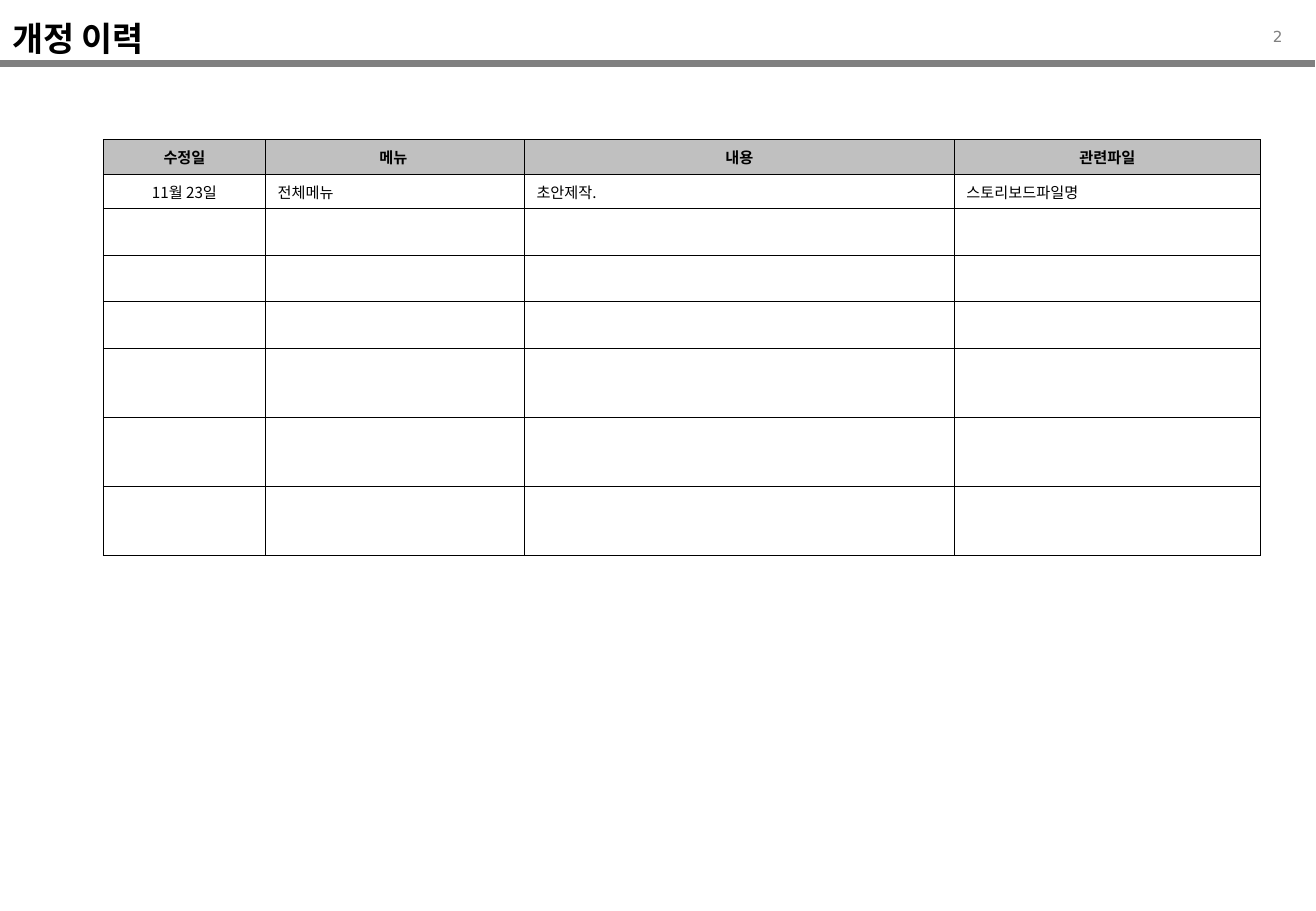
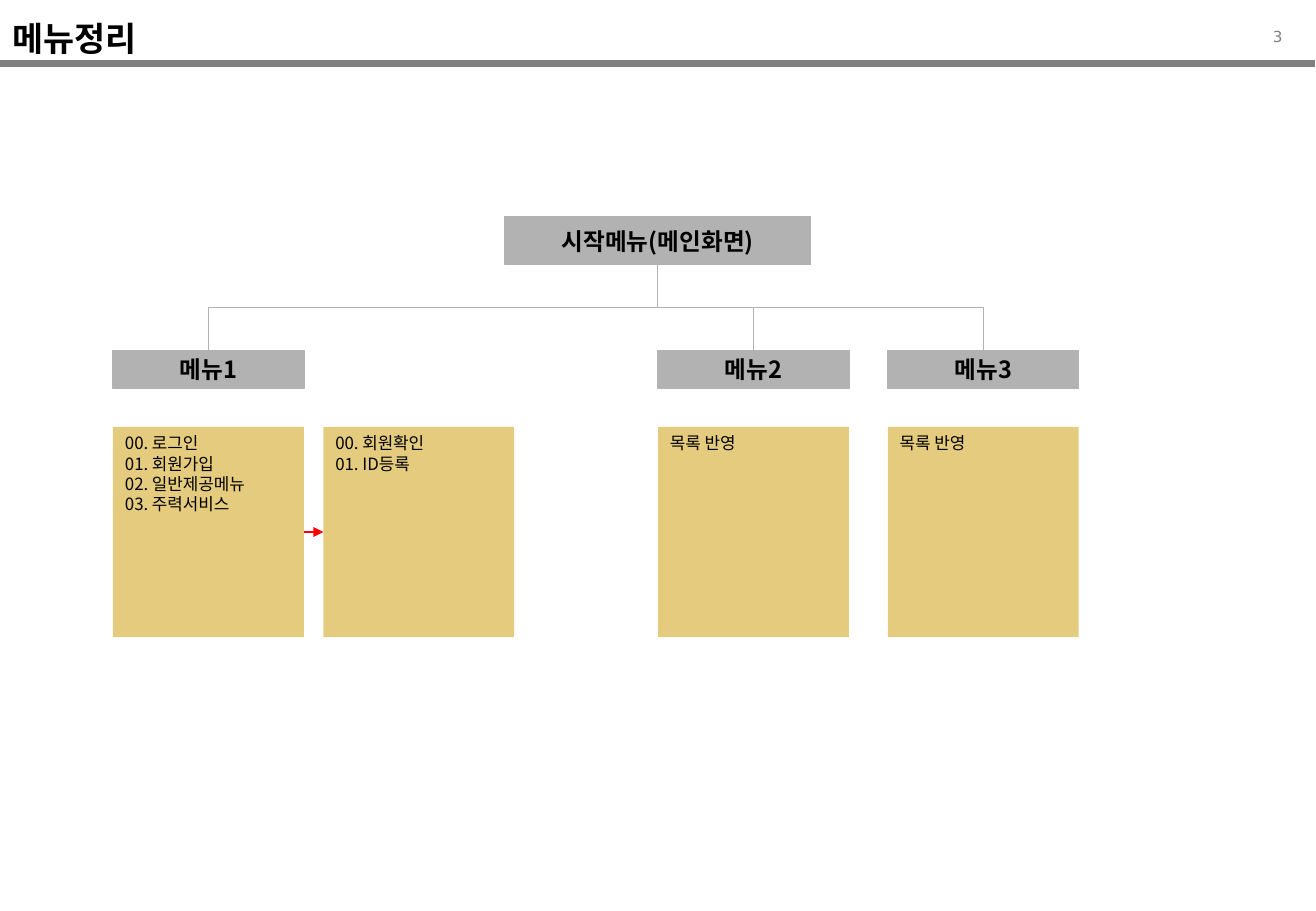
"""Build the revision history and menu map slides of a storyboard."""

from dataclasses import dataclass

from lxml import etree
from pptx import Presentation
from pptx.dml.color import RGBColor
from pptx.enum.shapes import MSO_CONNECTOR, MSO_SHAPE, PP_PLACEHOLDER
from pptx.enum.text import MSO_ANCHOR, MSO_AUTO_SIZE, PP_ALIGN
from pptx.oxml.ns import qn
from pptx.util import Pt

STRAIGHT, ELBOW = MSO_CONNECTOR.STRAIGHT, MSO_CONNECTOR.ELBOW
RECTANGLE = MSO_SHAPE.RECTANGLE
TITLE = PP_PLACEHOLDER.TITLE
TOP, MIDDLE = MSO_ANCHOR.TOP, MSO_ANCHOR.MIDDLE
LEFT, CENTER, RIGHT = PP_ALIGN.LEFT, PP_ALIGN.CENTER, PP_ALIGN.RIGHT
NO_AUTOFIT = MSO_AUTO_SIZE.NONE
TOP_SITE, LEFT_SITE, BOTTOM_SITE, RIGHT_SITE = range(4)
TITLE_ONLY_LAYOUT = 5


@dataclass(frozen=True)
class Theme:
    """Colours, fonts and type sizes of the deck."""

    font: str = "Noto Sans CJK KR"
    number_font: str = "DejaVu Sans"
    ink: str = "000000"
    paper: str = "FFFFFF"
    band: str = "808080"
    header: str = "C0C0C0"
    menu: str = "B2B2B2"
    list_fill: str = "CC9900"
    list_opacity: int = 51
    arrow: str = "FF0000"
    title_size: float = 20
    menu_size: float = 14
    list_size: float = 10
    small_size: float = 9


@dataclass(frozen=True)
class Box:
    """Position and size in points."""

    left: float
    top: float
    width: float
    height: float

    def lengths(self) -> tuple:
        """Return the four values as lengths."""
        return Pt(self.left), Pt(self.top), Pt(self.width), Pt(self.height)


@dataclass(frozen=True)
class Menu:
    """One menu with the lists that stand below it."""

    name: str
    left: float
    lists: tuple


THEME = Theme()
SLIDE_WIDTH, SLIDE_HEIGHT = 780.48, 540
TITLE_BOX = Box(0, 14.5, 209.5, 16)
NUMBER_BOX = Box(730.25, 9.5, 37.5, 21.5)
BAND_TOP, BAND_WIDTH, BAND_WEIGHT = 37.6, 780, 4.5
BAND_ID = 20

TABLE_LEFT, TABLE_TOP = 61.25, 82.75
COLUMN_WIDTHS = (96.25, 153.5, 255, 181.5)
ROW_HEIGHTS = (20.75, 20.25) + (27.6,) * 3 + (41,) * 3
HEADINGS = ("수정일", "메뉴 ", "내용", "관련파일")
FIRST_REVISION = ("11월 23일", "전체메뉴", "초안제작.", "스토리보드파일명")
BORDER_WEIGHT, CELL_MARGIN = 0.45, 2

ROOT_NAME = "시작메뉴(메인화면)"
ROOT_BOX = Box(299.5, 128.5, 181.25, 28.25)
MENU_TOP, MENU_HEIGHT = 207.75, 22.5
LIST_TOP, LIST_HEIGHT = 253, 124.75
COLUMN_WIDTH, LIST_GAP = 113.25, 11.5
LIST_LINE, LIST_MARGIN = 12, 3.75
LINE_WEIGHT = 0.75
MENUS = (
    Menu("메뉴1", 67, (
        "00. 로그인\n01. 회원가입\n02. 일반제공메뉴\n03. 주력서비스",
        "00. 회원확인\n01. ID등록",
    )),
    Menu("메뉴2", 390.25, ("목록 반영",)),
    Menu("메뉴3", 526.5, ("목록 반영",)),
)


def write_text(text_frame, text: str, *, size: float, bold: bool = False,
               color: str = THEME.ink, font: str = THEME.font, align=LEFT,
               anchor=TOP, wrap: bool = True, spacing=None) -> None:
    """Write each line of the text as one formatted paragraph."""
    text_frame.word_wrap = wrap
    text_frame.vertical_anchor = anchor
    for index, line in enumerate(text.split("\n")):
        paragraph = text_frame.add_paragraph() if index else text_frame.paragraphs[0]
        paragraph.alignment = align
        paragraph.line_spacing = spacing
        run = paragraph.add_run()
        run.text = line
        run.font.size = Pt(size)
        run.font.bold = bold
        run.font.name = font
        run.font.color.rgb = RGBColor.from_string(color)


def apply_east_asian_fonts(slide) -> None:
    """Give Korean text the same typeface as Latin text."""
    for latin in list(slide.element.iter(qn("a:latin"))):
        east_asian = etree.Element(qn("a:ea"), typeface=latin.get("typeface"))
        latin.addnext(east_asian)


def add_line(shapes, kind, color: str, weight: float, start=(0, 0), end=(0, 0)):
    """Add a plain connector without a shadow."""
    connector = shapes.add_connector(kind, *(Pt(value) for value in (*start, *end)))
    connector.line.color.rgb = RGBColor.from_string(color)
    connector.line.width = Pt(weight)
    etree.SubElement(connector.element.spPr, qn("a:effectLst"))
    return connector


def add_rectangle(slide, box: Box, color: str, outlined: bool = False):
    """Add a filled rectangle, outlined in its own colour on request."""
    shape = slide.shapes.add_shape(RECTANGLE, *box.lengths())
    shape.shadow.inherit = False
    shape.fill.solid()
    shape.fill.fore_color.rgb = RGBColor.from_string(color)
    if outlined:
        shape.line.color.rgb = RGBColor.from_string(color)
        shape.line.width = Pt(LINE_WEIGHT)
    else:
        shape.line.fill.background()
    return shape


def prepare_layout(presentation):
    """Place the title on the layout and remove its unused placeholders."""
    layout = presentation.slide_layouts[TITLE_ONLY_LAYOUT]
    for placeholder in list(layout.placeholders):
        if placeholder.placeholder_format.type == TITLE:
            (placeholder.left, placeholder.top,
             placeholder.width, placeholder.height) = TITLE_BOX.lengths()
        else:
            placeholder.element.getparent().remove(placeholder.element)
    return layout


def add_layout_band(layout, slide) -> None:
    """Put the band below the title on the shared layout."""
    band = add_line(slide.shapes, STRAIGHT, THEME.band, BAND_WEIGHT,
                    (0, BAND_TOP), (BAND_WIDTH, BAND_TOP))
    band.element.find(f".//{qn('p:cNvPr')}").set("id", str(BAND_ID))
    layout.shapes.element.append(band.element)


def add_titled_slide(presentation, layout, title: str, number: int):
    """Add a slide with its title and page number."""
    slide = presentation.slides.add_slide(layout)
    title_frame = slide.shapes.title.text_frame
    title_frame.auto_size = NO_AUTOFIT
    write_text(title_frame, title, size=THEME.title_size, bold=True, anchor=MIDDLE)
    number_box = slide.shapes.add_textbox(*NUMBER_BOX.lengths())
    write_text(number_box.text_frame, str(number), size=THEME.small_size,
               color=THEME.band, font=THEME.number_font, align=RIGHT, spacing=1.3)
    return slide


def format_cell(cell, color: str) -> None:
    """Set the borders, fill and margins of a cell."""
    properties = cell._tc.get_or_add_tcPr()
    for side in ("a:lnL", "a:lnR", "a:lnT", "a:lnB"):
        border = etree.SubElement(properties, qn(side), w=str(int(Pt(BORDER_WEIGHT))))
        fill = etree.SubElement(border, qn("a:solidFill"))
        etree.SubElement(fill, qn("a:srgbClr"), val=THEME.ink)
    cell.fill.solid()
    cell.fill.fore_color.rgb = RGBColor.from_string(color)
    cell.margin_top = cell.margin_bottom = Pt(CELL_MARGIN)
    cell.vertical_anchor = MIDDLE


def add_revision_table(slide) -> None:
    """Add the revision table with its empty rows."""
    box = Box(TABLE_LEFT, TABLE_TOP, sum(COLUMN_WIDTHS), sum(ROW_HEIGHTS))
    table = slide.shapes.add_table(
        len(ROW_HEIGHTS), len(COLUMN_WIDTHS), *box.lengths()).table
    table.horz_banding = False
    for column, width in zip(table.columns, COLUMN_WIDTHS):
        column.width = Pt(width)
    for row_index, (row, height) in enumerate(zip(table.rows, ROW_HEIGHTS)):
        row.height = Pt(height)
        for cell in row.cells:
            format_cell(cell, THEME.paper if row_index else THEME.header)
    for row_index, texts in enumerate((HEADINGS, FIRST_REVISION)):
        is_header = row_index == 0
        for column_index, text in enumerate(texts):
            write_text(table.cell(row_index, column_index).text_frame, text,
                       size=THEME.small_size, bold=is_header, anchor=MIDDLE,
                       align=CENTER if is_header or column_index == 0 else LEFT)


def add_menu_box(slide, box: Box, name: str):
    """Add a grey menu box."""
    shape = add_rectangle(slide, box, THEME.menu, outlined=True)
    write_text(shape.text_frame, name, size=THEME.menu_size, bold=True,
               align=CENTER, anchor=MIDDLE, wrap=False)
    return shape


def add_list_box(slide, left: float, text: str):
    """Add a translucent list box."""
    shape = add_rectangle(
        slide, Box(left, LIST_TOP, COLUMN_WIDTH, LIST_HEIGHT), THEME.list_fill)
    color = shape.element.spPr.find(qn("a:solidFill"))[0]
    etree.SubElement(color, qn("a:alpha"), val=str(THEME.list_opacity * 1000))
    shape.text_frame.margin_top = Pt(LIST_MARGIN)
    write_text(shape.text_frame, text, size=THEME.list_size, spacing=Pt(LIST_LINE))
    return shape


def connect_branch(slide, root, menu) -> None:
    """Join the root's bottom to the menu's top with a vertical elbow."""
    connector = add_line(slide.shapes, ELBOW, THEME.menu, LINE_WEIGHT)
    connector.begin_connect(root, BOTTOM_SITE)
    connector.end_connect(menu, TOP_SITE)
    start_x, start_y = root.left + root.width // 2, root.top + root.height
    end_x, end_y = menu.left + menu.width // 2, menu.top
    drop, reach = end_y - start_y, abs(end_x - start_x)
    connector.left = (start_x + end_x - drop) // 2
    connector.top = (start_y + end_y - reach) // 2
    connector.width, connector.height = drop, reach
    goes_right = end_x > start_x
    transform = connector.element.spPr.find(qn("a:xfrm"))
    transform.set("rot", str((270 if goes_right else 90) * 60000))
    transform.set("flipH", "1" if goes_right else "0")
    transform.set("flipV", "0")


def connect_lists(slide, first, second) -> None:
    """Draw an arrow from one list to the next."""
    arrow = add_line(slide.shapes, STRAIGHT, THEME.arrow, LINE_WEIGHT)
    arrow.begin_connect(first, RIGHT_SITE)
    arrow.end_connect(second, LEFT_SITE)
    line = arrow.element.spPr.find(qn("a:ln"))
    etree.SubElement(line, qn("a:tailEnd"), type="triangle")


def add_menu_map(slide) -> None:
    """Add the root, its menus and their lists."""
    root = add_menu_box(slide, ROOT_BOX, ROOT_NAME)
    for menu in MENUS:
        menu_box = add_menu_box(
            slide, Box(menu.left, MENU_TOP, COLUMN_WIDTH, MENU_HEIGHT), menu.name)
        connect_branch(slide, root, menu_box)
        lists = [
            add_list_box(slide, menu.left + index * (COLUMN_WIDTH + LIST_GAP), text)
            for index, text in enumerate(menu.lists)
        ]
        for first, second in zip(lists, lists[1:]):
            connect_lists(slide, first, second)


def main() -> None:
    """Build and save the presentation."""
    presentation = Presentation()
    presentation.slide_width, presentation.slide_height = Pt(SLIDE_WIDTH), Pt(SLIDE_HEIGHT)
    layout = prepare_layout(presentation)
    revision_slide = add_titled_slide(presentation, layout, "개정 이력", 2)
    add_layout_band(layout, revision_slide)
    add_revision_table(revision_slide)
    menu_slide = add_titled_slide(presentation, layout, "메뉴정리", 3)
    add_menu_map(menu_slide)
    for slide in presentation.slides:
        apply_east_asian_fonts(slide)
    presentation.save("out.pptx")


if __name__ == "__main__":
    main()
